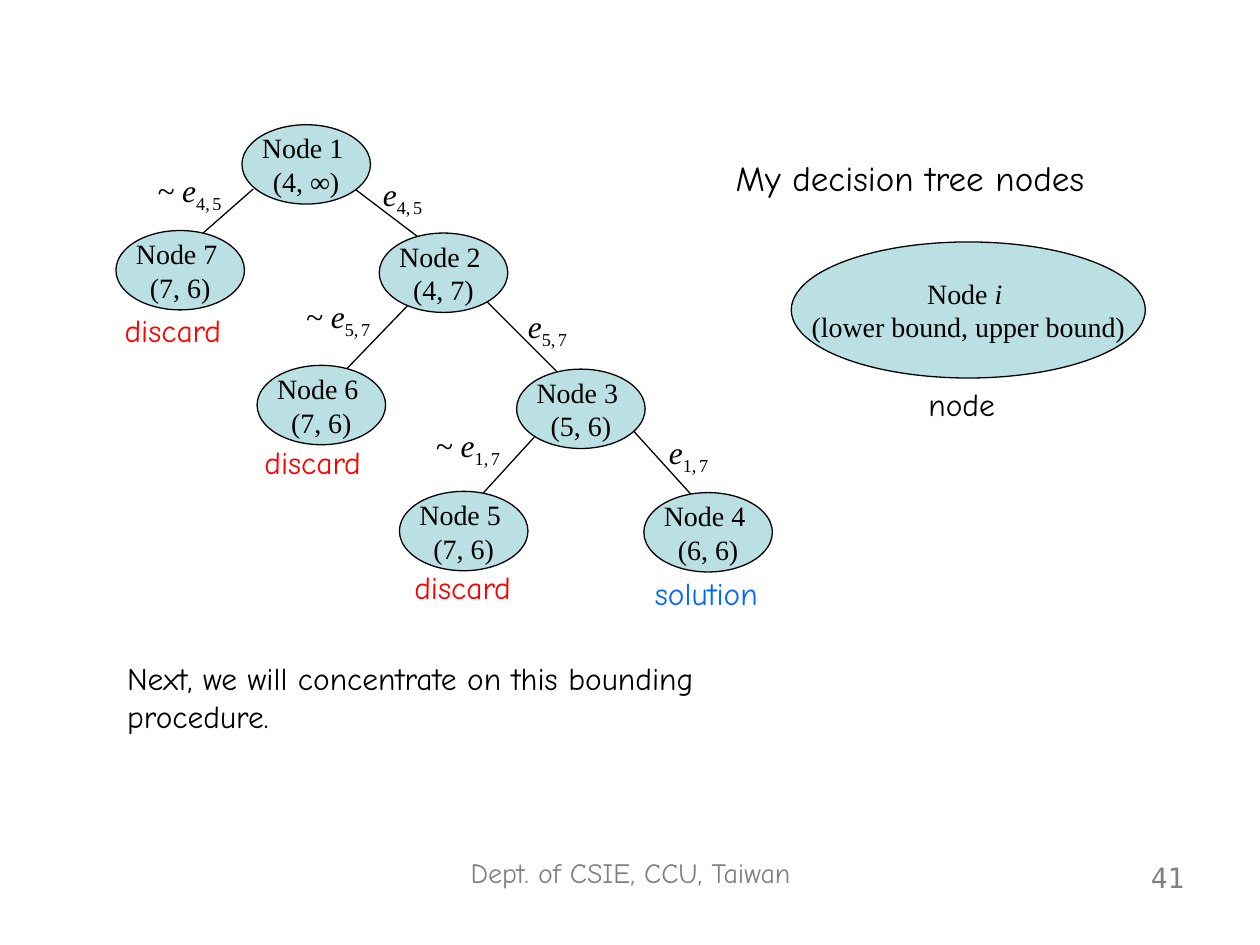
import dataclasses

import pptx
import pptx.dml.color
import pptx.enum.shapes
import pptx.enum.text
import pptx.oxml.ns
import pptx.util
from lxml import etree

Inches = pptx.util.Inches
ALIGN = pptx.enum.text.PP_ALIGN


@dataclasses.dataclass(frozen=True)
class Theme:
    ink: str = "000000"
    node_fill: str = "BBE0E3"
    discard: str = "FF0000"
    solution: str = "0066FF"
    footer: str = "808080"
    caption_font: str = "Comic Neue"
    node_font: str = "Times New Roman"
    number_font: str = "DejaVu Sans Mono"
    heading_size: float = 20
    body_size: float = 18
    node_size: float = 16
    gap_size: float = 10
    line_width: float = 0.75


def color(value):
    return pptx.dml.color.RGBColor.from_string(value)


def write_text(frame, paragraphs, *, size, font, ink, align=ALIGN.LEFT):
    """Each paragraph is a list of (text, run format) pairs."""
    for index, runs in enumerate(paragraphs):
        paragraph = frame.paragraphs[0] if index == 0 else frame.add_paragraph()
        paragraph.alignment = align
        for text, style in runs:
            run = paragraph.add_run()
            run.text = text
            run.font.size = pptx.util.Pt(style.get("size", size))
            run.font.name = font
            run.font.italic = style.get("italic", False)
            run.font.color.rgb = color(ink)
            if style.get("subscript"):
                run.font._element.set("baseline", "-25000")


class SlideBuilder:
    def __init__(self, slide, theme):
        self.slide = slide
        self.theme = theme

    def edge(self, start, end):
        connector = self.slide.shapes.add_connector(
            pptx.enum.shapes.MSO_CONNECTOR.STRAIGHT,
            *(Inches(value) for value in (*start, *end)))
        connector.line.color.rgb = color(self.theme.ink)
        connector.line.width = pptx.util.Pt(self.theme.line_width)
        etree.SubElement(connector._element.spPr, pptx.oxml.ns.qn("a:effectLst"))

    def node(self, left, top, paragraphs, width=1.02, height=0.63):
        shape = self.slide.shapes.add_shape(
            pptx.enum.shapes.MSO_SHAPE.OVAL,
            Inches(left), Inches(top), Inches(width), Inches(height))
        shape.shadow.inherit = False
        shape.fill.solid()
        shape.fill.fore_color.rgb = color(self.theme.node_fill)
        shape.line.color.rgb = color(self.theme.ink)
        shape.line.width = pptx.util.Pt(self.theme.line_width)
        frame = shape.text_frame
        frame.word_wrap = False
        frame.vertical_anchor = pptx.enum.text.MSO_ANCHOR.MIDDLE
        write_text(frame, paragraphs, size=self.theme.node_size,
                   font=self.theme.node_font, ink=self.theme.ink, align=ALIGN.CENTER)

    def text(self, left, top, width, height, runs, **style):
        box = self.slide.shapes.add_textbox(
            Inches(left), Inches(top), Inches(width), Inches(height))
        box.text_frame.word_wrap = True
        if isinstance(runs, str):
            runs = [(runs, {})]
        defaults = dict(size=self.theme.body_size, font=self.theme.caption_font,
                        ink=self.theme.ink)
        write_text(box.text_frame, [runs], **{**defaults, **style})

    def edge_label(self, left, top, width, variable, first, second):
        runs = [(variable, {"italic": True}),
                (f"{first},", {"subscript": True}),
                (" ", {"subscript": True, "size": self.theme.gap_size}),
                (second, {"subscript": True})]
        self.text(left, top, width, 0.44, runs, font=self.theme.node_font)


def main():
    presentation = pptx.Presentation()
    presentation.slide_width = Inches(10)
    presentation.slide_height = Inches(7.5)
    theme = Theme()
    slide = presentation.slides.add_slide(presentation.slide_layouts[6])
    builder = SlideBuilder(slide, theme)

    # Tree edges, behind the nodes
    for start, end in [
        ((2.79, 1.48), (3.33, 1.89)), ((2.01, 1.5), (1.6, 1.86)),
        ((3.82, 2.35), (4.51, 3.04)), ((3.26, 2.4), (2.74, 2.94)),
        ((5, 3.39), (5.49, 3.93)), ((4.24, 3.47), (3.82, 3.93)),
    ]:
        builder.edge(start, end)

    # Tree nodes with their bounds
    for number, left, top, bounds in [
        (1, 1.92, 0.99, "(4, ∞)"), (2, 3.01, 1.85, "(4, 7)"),
        (3, 4.1, 2.93, "(5, 6)"), (4, 5.11, 3.91, "(6, 6)"),
        (5, 3.17, 3.9, "(7, 6)"), (6, 2.04, 2.9, "(7, 6)"),
        (7, 0.92, 1.83, "(7, 6)"),
    ]:
        builder.node(left, top, [[(f"Node {number} ", {})], [(bounds, {})]])

    # Branch labels
    for left, top, width, variable, first, second in [
        (2.94, 1.34, 0.59, "e", "4", "5"), (1.15, 1.31, 0.89, "~ e", "4", "5"),
        (4.09, 2.39, 0.59, "e", "5", "7"), (2.33, 2.31, 0.79, "~ e", "5", "7"),
        (5.21, 3.39, 0.59, "e", "1", "7"), (3.36, 3.33, 0.79, "~ e", "1", "7"),
    ]:
        builder.edge_label(left, top, width, variable, first, second)

    # Outcomes under the leaves
    for left, top, outcome, ink in [
        (0.89, 2.42, "discard", theme.discard), (2, 3.47, "discard", theme.discard),
        (3.19, 4.46, "discard", theme.discard), (5.1, 4.51, "solution", theme.solution),
    ]:
        builder.text(left, top, 1.13, 0.4, outcome, ink=ink)

    # Legend
    builder.text(5.74, 1.19, 3.45, 0.44, "My decision tree nodes", size=theme.heading_size)
    builder.node(6.28, 1.92, [[("Node ", {}), ("i ", {"italic": True})],
                              [("(lower bound, upper bound)", {})]],
                 width=2.81, height=1.08)
    builder.text(7.27, 3.01, 0.84, 0.4, "node")

    # Closing remark and footer
    builder.text(0.91, 5.18, 4.92, 0.7,
                 "Next, we will concentrate on this bounding procedure.")
    builder.text(3.19, 6.74, 3.63, 0.52, "Dept. of CSIE, CCU, Taiwan",
                 size=theme.node_size, ink=theme.footer, align=ALIGN.CENTER)
    builder.text(7.17, 6.78, 2.33, 0.52, "41", size=theme.node_size,
                 font=theme.number_font, ink=theme.footer, align=ALIGN.RIGHT)

    presentation.save("out.pptx")


if __name__ == "__main__":
    main()
